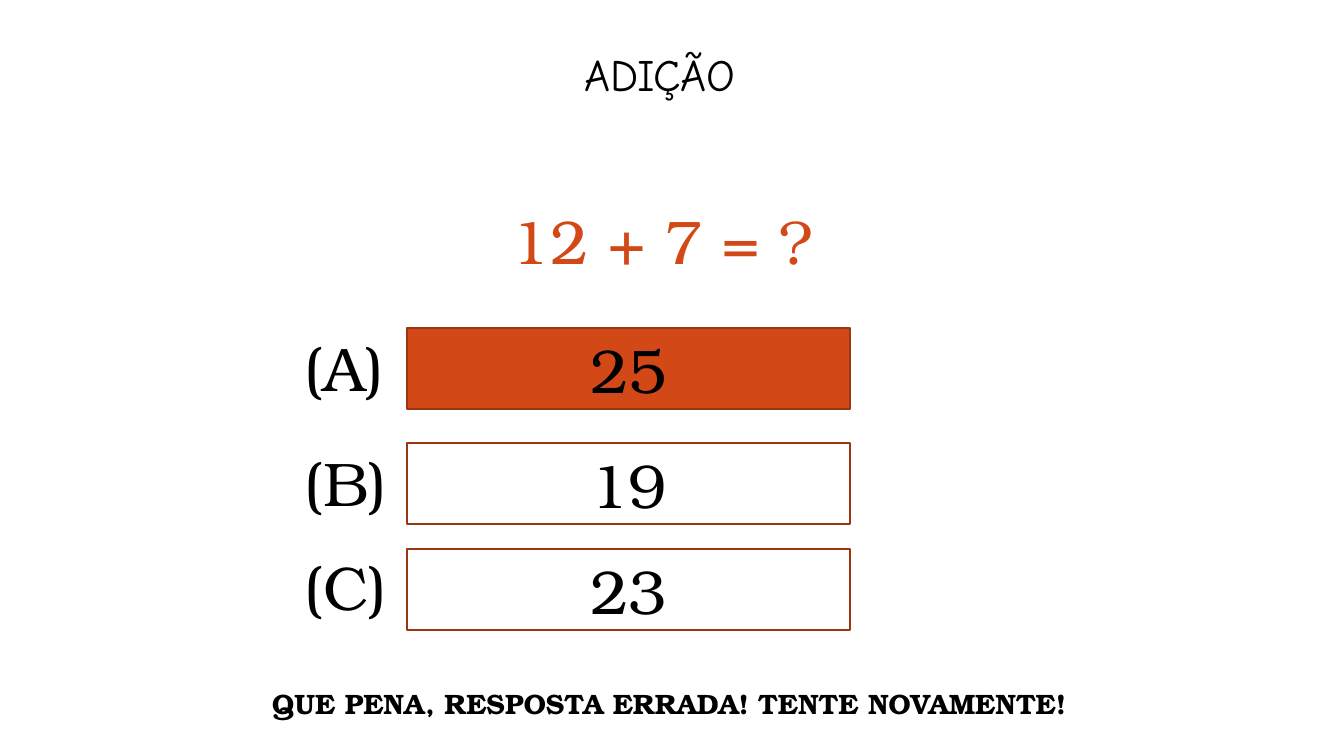
import dataclasses

import pptx
import pptx.dml.color
import pptx.enum.shapes
import pptx.enum.text
import pptx.util

EMU_PER_PX = 914400 / 100.8


@dataclasses.dataclass(frozen=True)
class Theme:
    """Colours, fonts and type sizes of the quiz slide."""
    ink: str = "000000"
    accent: str = "D34817"
    border: str = "9C3511"
    paper: str = "FFFFFF"
    title_font: str = "Comic Neue"
    body_font: str = "TeX Gyre Bonum"
    title_size: int = 32
    quiz_size: int = 44
    message_size: int = 20


THEME = Theme()


def px(length):
    """Turn pixels into EMU."""
    return pptx.util.Emu(round(length * EMU_PER_PX))


def rgb(value):
    """Turn a hex string into a colour."""
    return pptx.dml.color.RGBColor.from_string(value)


def write(frame, text, size=THEME.quiz_size, font=THEME.body_font,
          color=THEME.ink, bold=False, centered=False):
    """Write one formatted line into a text frame."""
    align = pptx.enum.text.PP_ALIGN
    frame.word_wrap = True
    line = frame.paragraphs[0]
    line.alignment = align.CENTER if centered else align.LEFT
    run = line.add_run()
    run.text = text
    run.font.size = pptx.util.Pt(size)
    run.font.name = font
    run.font.bold = bold
    run.font.color.rgb = rgb(color)


def add_label(slide, text, left, top, width, height, **style):
    """Add a text box holding one line."""
    label = slide.shapes.add_textbox(px(left), px(top), px(width), px(height))
    write(label.text_frame, text, **style)
    label.text_frame.auto_size = pptx.enum.text.MSO_AUTO_SIZE.SHAPE_TO_FIT_TEXT


def add_answer(slide, text, top, fill):
    """Add a bordered answer bar."""
    answer = slide.shapes.add_shape(
        pptx.enum.shapes.MSO_SHAPE.RECTANGLE, px(407), px(top), px(443), px(81))
    answer.shadow.inherit = False
    answer.fill.solid()
    answer.fill.fore_color.rgb = rgb(fill)
    answer.line.color.rgb = rgb(THEME.border)
    answer.line.width = pptx.util.Pt(1)
    answer.text_frame.vertical_anchor = pptx.enum.text.MSO_ANCHOR.MIDDLE
    write(answer.text_frame, text, centered=True)


def main():
    """Build the addition quiz slide."""
    deck = pptx.Presentation()
    deck.slide_width, deck.slide_height = px(1344), px(756)
    slide = deck.slides.add_slide(deck.slide_layouts[6])

    add_label(slide, "ADIÇÃO", 256, 42, 808, 65, size=THEME.title_size,
              font=THEME.title_font, centered=True)
    add_label(slide, "12 + 7 = ?", 502, 198, 560, 85, color=THEME.accent)

    options = [
        ("(A)", 325, "25", 328, THEME.accent),
        ("(B)", 440, "19", 443, THEME.paper),
        ("(C)", 544, "23", 549, THEME.paper),
    ]
    for letter, letter_top, answer, answer_top, fill in options:
        add_answer(slide, answer, answer_top, fill)
        add_label(slide, letter, 295, letter_top, 133, 85)

    add_label(slide, "QUE PENA, RESPOSTA ERRADA! TENTE NOVAMENTE!",
              262, 682, 867, 44, size=THEME.message_size, bold=True)
    deck.save("out.pptx")


if __name__ == "__main__":
    main()
